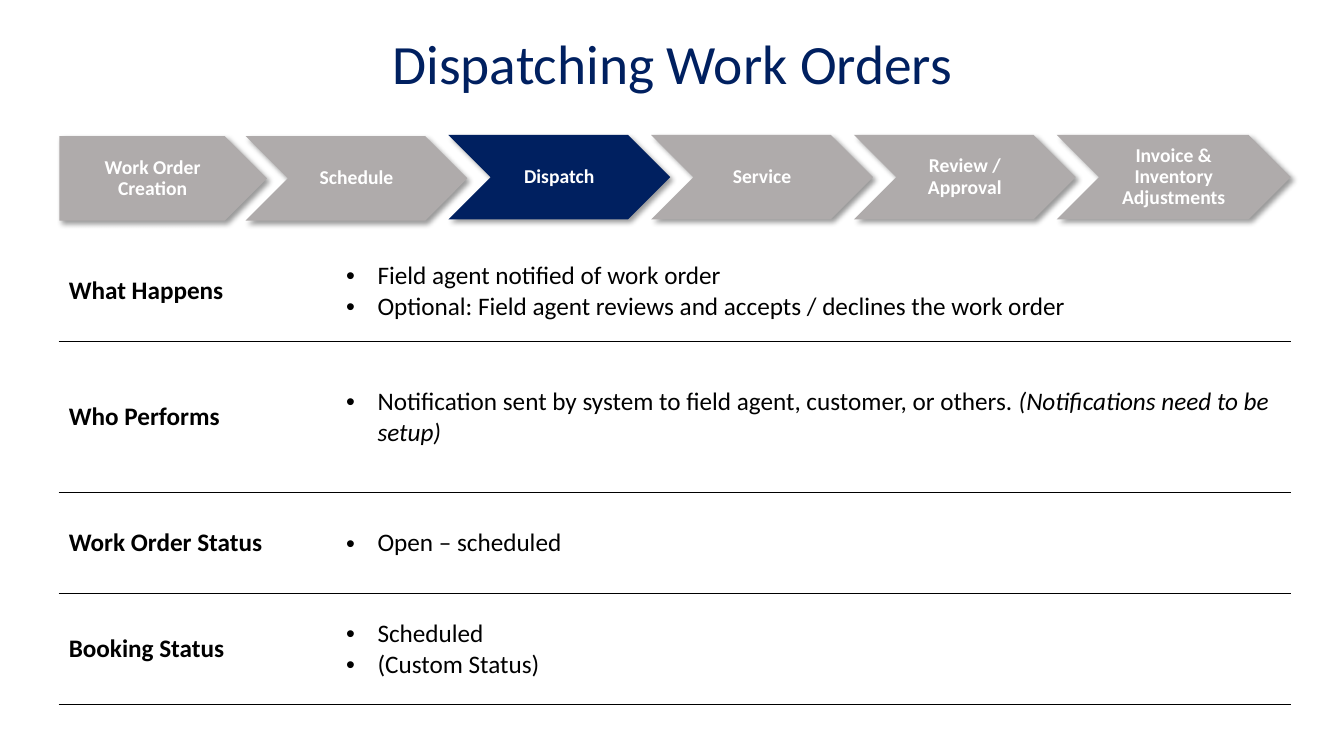
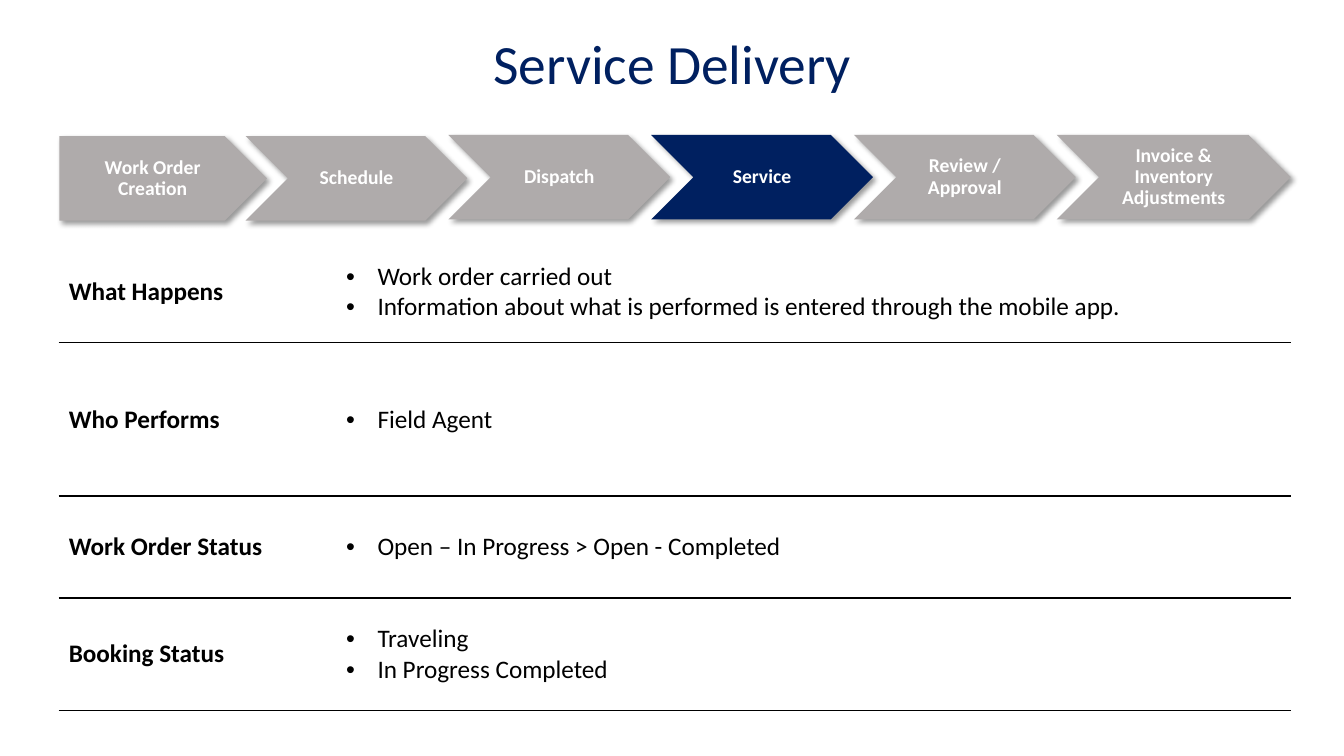
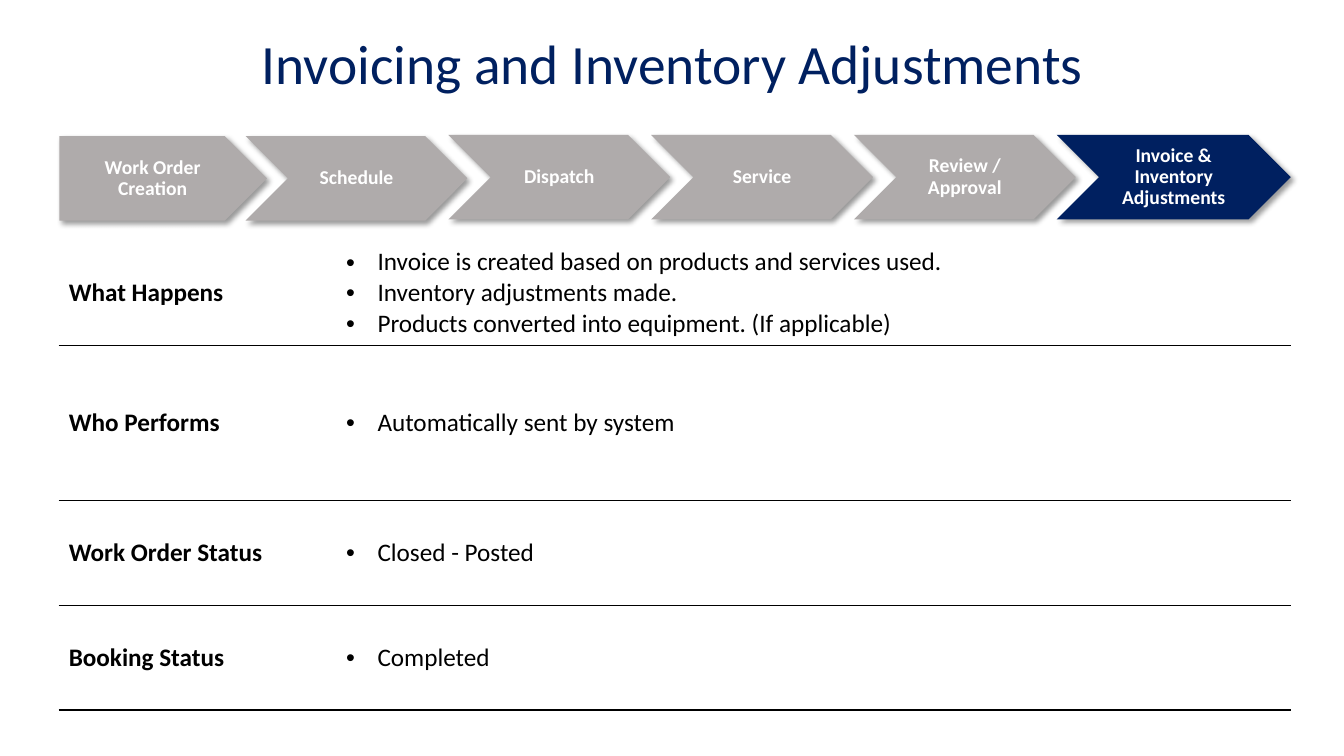
from lxml import etree
from pptx import Presentation
from pptx import util as u
from pptx.dml.color import RGBColor
from pptx.enum import shapes, text
from pptx.oxml import ns

COLOURS = {"navy": "002060", "grey": "AFABAB", "white": "FFFFFF", "black": "000000"}
FONT = "Calibri"
NO_GRID_STYLE = "{2D5ABB26-0587-4C30-8999-92F81FD0307C}"

# Regions in cm: left, top, width, height
TITLE_BOX = (0.84, 0.97, 32.21, 1.52)
STAGE_BOX = (1.5, 3.4, 31.03, 2.13)
DETAIL_BOX = (1.48, 6.07, 31.06)

# Label lines of each stage, and its drop below the top of the band
STAGES = [
    (["Work Order Creation"], 0.03),
    (["Schedule"], 0.03),
    (["Dispatch"], 0),
    (["Service"], 0),
    (["Review / Approval"], 0),
    (["Invoice &", "Inventory Adjustments"], 0),
]
TOPICS = ["What Happens", "Who Performs", "Work Order Status", "Booking Status"]

# Each bullet is a list of runs, alternating upright and italic
SLIDES = [
    {
        "title": "Dispatching Work Orders",
        "stage": 2,
        "row_heights": [2.54, 3.81, 2.54, 2.79],
        "details": [
            [["Field agent notified of work order"],
             ["Optional: Field agent reviews and accepts / declines the work order"]],
            [["Notification sent by system to field agent, customer, or others. ",
              "(Notifications need to be setup)"]],
            [["Open – scheduled"]],
            [["Scheduled"], ["(Custom Status)"]],
        ],
    },
    {
        "title": "Service Delivery",
        "stage": 3,
        "row_heights": [2.57, 3.86, 2.57, 2.83],
        "details": [
            [["Work order carried out"],
             ["Information about what is performed is entered through the mobile app."]],
            [["Field Agent"]],
            [["Open – In Progress > Open - Completed"]],
            [["Traveling"], ["In Progress Completed"]],
        ],
    },
    {
        "title": "Invoicing and Inventory Adjustments",
        "stage": 5,
        "row_heights": [2.63, 3.91, 2.64, 2.64],
        "details": [
            [["Invoice is created based on products and services used."],
             ["Inventory adjustments made."],
             ["Products converted into equipment. (If applicable)"]],
            [["Automatically sent by system"]],
            [["Closed - Posted"]],
            [["Completed"]],
        ],
    },
]


def rgb(name):
    return RGBColor.from_string(COLOURS[name])


def style(font, size, colour, bold=False, italic=False):
    font.name, font.size, font.bold, font.italic = FONT, u.Pt(size), bold, italic
    font.color.rgb = rgb(colour)


def add_child(parent, tag, **attributes):
    return etree.SubElement(parent, ns.qn(tag), {k: str(v) for k, v in attributes.items()})


def add_title(slide, box, title):
    frame = slide.shapes.add_textbox(*map(u.Cm, box)).text_frame
    frame.word_wrap = True
    frame.vertical_anchor = text.MSO_ANCHOR.BOTTOM
    frame.text = title
    heading = frame.paragraphs[0]
    heading.alignment = text.PP_ALIGN.CENTER
    heading.line_spacing = 0.7
    style(heading.runs[0].font, 39.6, "navy")


def add_shadow(shape):
    shape.shadow.inherit = False
    effects = shape._element.spPr.find(ns.qn("a:effectLst"))
    shadow = add_child(effects, "a:outerShdw", blurRad=u.Pt(4), dist=u.Pt(3),
                       dir=45 * 60000, algn="tl", rotWithShape=0)
    tint = add_child(shadow, "a:srgbClr", val=COLOURS["black"])
    add_child(tint, "a:alpha", val=40000)


def add_stage(slide, box, outline, label, colour):
    arrow = slide.shapes.add_shape(outline, *map(u.Cm, box))
    arrow.fill.solid()
    arrow.fill.fore_color.rgb = rgb(colour)
    arrow.line.fill.background()
    add_shadow(arrow)
    frame = arrow.text_frame
    frame.word_wrap = True
    frame.vertical_anchor = text.MSO_ANCHOR.MIDDLE
    frame.margin_left = frame.margin_right = u.Cm(0.5)
    frame.margin_top = frame.margin_bottom = u.Cm(0.4)
    frame.text = "\n".join(label)
    for line in frame.paragraphs:
        line.alignment = text.PP_ALIGN.CENTER
        line.line_spacing = 0.9
        style(line.runs[0].font, 14, "white", bold=True)


def add_stage_band(slide, box, current):
    left, top, width, height = box
    first_width, chevron_width, last_width = 5.23, 5.59, 5.9
    pitch = 5.11
    chevrons_left = left + width - last_width - 4 * pitch
    for i, (label, drop) in enumerate(STAGES):
        outline = shapes.MSO_SHAPE.CHEVRON
        x, stage_width = chevrons_left + (i - 1) * pitch, chevron_width
        if i == 0:
            outline = shapes.MSO_SHAPE.PENTAGON
            x, stage_width = left, first_width
        elif i == len(STAGES) - 1:
            stage_width = last_width
        add_stage(slide, (x, top + drop, stage_width, height), outline, label,
                  "navy" if i == current else "grey")


def rule_below(cell):
    properties = cell._tc.get_or_add_tcPr()
    rule = etree.Element(ns.qn("a:lnB"), {"w": str(u.Pt(1))})
    add_child(add_child(rule, "a:solidFill"), "a:srgbClr", val=COLOURS["black"])
    properties.insert(0, rule)


def add_bullet(paragraph, runs):
    properties = paragraph._p.get_or_add_pPr()
    properties.set("marL", str(u.Cm(0.79)))
    properties.set("indent", str(-u.Cm(0.79)))
    add_child(properties, "a:buFont", typeface="Arial")
    add_child(properties, "a:buChar", char="•")
    for i, words in enumerate(runs):
        run = paragraph.add_run()
        run.text = words
        style(run.font, 18, "black", italic=i % 2 == 1)


def add_details(slide, box, row_heights, details):
    left, top, width = box
    topic_width = 6.99
    frame = slide.shapes.add_table(len(TOPICS), 2, u.Cm(left), u.Cm(top),
                                   u.Cm(width), u.Cm(sum(row_heights)))
    table = frame.table
    table.first_row = table.horz_banding = False
    table._tbl.tblPr.find(ns.qn("a:tableStyleId")).text = NO_GRID_STYLE
    table.columns[0].width = u.Cm(topic_width)
    table.columns[1].width = u.Cm(width - topic_width)

    for row, row_height, topic, bullets in zip(table.rows, row_heights, TOPICS, details):
        row.height = u.Cm(row_height)
        topic_cell, detail_cell = row.cells
        for cell in row.cells:
            cell.vertical_anchor = text.MSO_ANCHOR.MIDDLE
            cell.fill.background()
            rule_below(cell)
        topic_cell.text_frame.text = topic
        style(topic_cell.text_frame.paragraphs[0].runs[0].font, 18, "black", bold=True)
        points = detail_cell.text_frame
        for i, runs in enumerate(bullets):
            add_bullet(points.add_paragraph() if i else points.paragraphs[0], runs)


def main():
    deck = Presentation()
    deck.slide_width, deck.slide_height = u.Cm(33.87), u.Cm(19.05)
    for content in SLIDES:
        slide = deck.slides.add_slide(deck.slide_layouts[6])
        add_details(slide, DETAIL_BOX, content["row_heights"], content["details"])
        add_title(slide, TITLE_BOX, content["title"])
        add_stage_band(slide, STAGE_BOX, content["stage"])
    deck.save("out.pptx")


if __name__ == "__main__":
    main()
